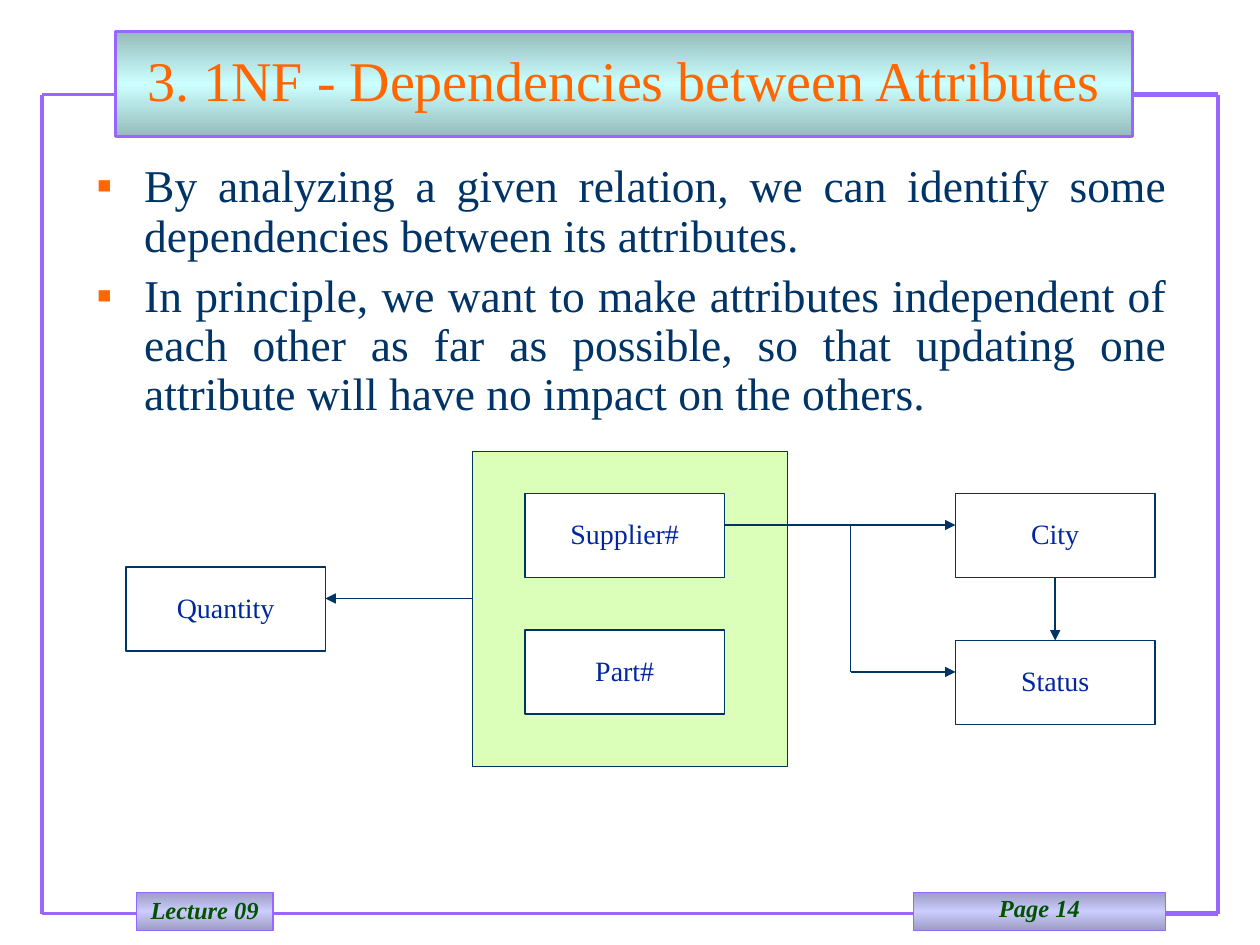
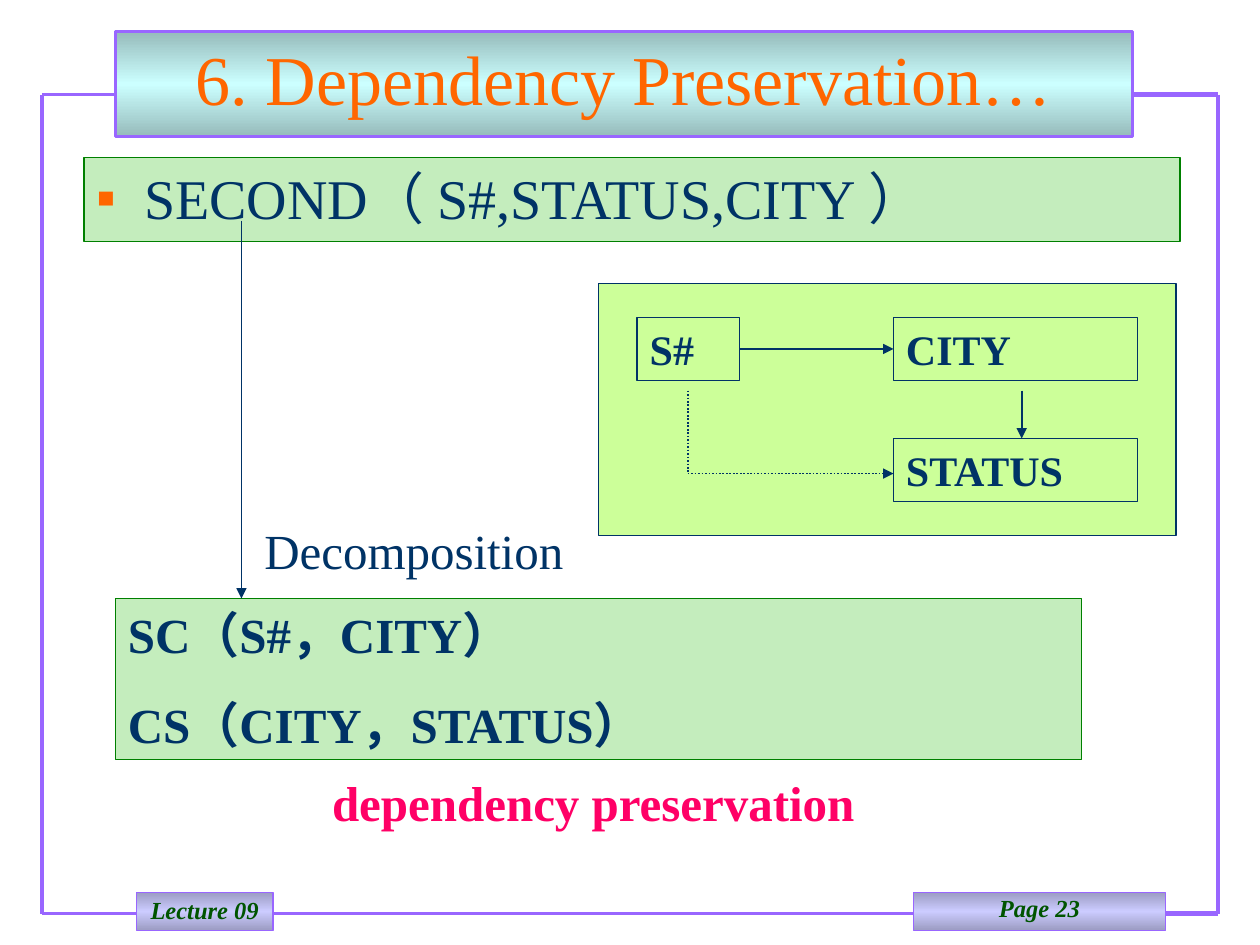
from copy import deepcopy

from lxml.etree import SubElement
from pptx import Presentation
from pptx.dml.color import RGBColor
from pptx.enum.dml import MSO_LINE
from pptx.enum.shapes import MSO_CONNECTOR, MSO_SHAPE
from pptx.enum.text import MSO_ANCHOR, MSO_AUTO_SIZE, PP_ALIGN
from pptx.oxml.ns import qn
from pptx.util import Inches, Pt

# All places and sizes are in grid units of one twelfth of an inch.
UNIT = Inches(1) / 12
SLIDE_SIZE = (120, 90)
FONT = "Times New Roman"

NAVY = RGBColor(0x00, 0x33, 0x66)
BLUE = RGBColor(0x00, 0x27, 0x9F)
ORANGE = RGBColor(0xFF, 0x66, 0x00)
PINK = RGBColor(0xFF, 0x00, 0x66)
PURPLE = RGBColor(0x99, 0x66, 0xFF)
DARK_GREEN = RGBColor(0x00, 0x54, 0x00)
GREEN = RGBColor(0x00, 0x80, 0x00)
MINT = RGBColor(0xC4, 0xED, 0xBD)
PALE_LIME = RGBColor(0xDB, 0xFF, 0xB8)
LIME = RGBColor(0xCC, 0xFF, 0x99)
WHITE = RGBColor(0xFF, 0xFF, 0xFF)
TITLE_BAND = (RGBColor(0x96, 0xBB, 0xBB), RGBColor(0xCC, 0xFF, 0xFF))
FOOTER_BAND = (RGBColor(0x9C, 0x9C, 0xC3), RGBColor(0xCC, 0xCC, 0xFF))

# Shared by both slides
TITLE_PLACE = (11, 3, 96.84, 10)
LECTURE = ("Lecture 09", (13, 85, 13, 3.6), 0.9)
PAGE_PLACE = (87, 85, 24, 3.6)
FRAME_LINES = [  # start, end, width in points
    ((11, 9), (4, 9), 2.25),
    ((4, 9), (4, 87), 2.25),
    ((4, 87), (13, 87), 2.25),
    ((26, 87), (87, 87), 2.25),
    ((108, 9), (116, 9), 3),
    ((116, 9), (116, 87), 2.25),
    ((111, 87), (116, 87), 3),
]

# Dependencies between attributes
ATTRIBUTES_TITLE = "3. 1NF - Dependencies between Attributes"
ATTRIBUTES_BULLETS = [
    "By analyzing a given relation, we can identify some dependencies between its attributes.",
    "In principle, we want to make attributes independent of each other as far as possible, "
    "so that updating one attribute will have no impact on the others.",
]
BULLETS_PLACE = (8, 15, 104.4, 28)
KEY_PLACE = (45, 43, 30, 30)
ATTRIBUTE_SIZE = (19, 8)
ATTRIBUTES = {
    "Supplier#": (50, 47),
    "Part#": (50, 60),
    "Status": (91, 61),
    "City": (91, 47),
    "Quantity": (12, 54),
}

# Dependency preservation
PRESERVATION_TITLE = "6. Dependency Preservation…"
RELATION = ["SECOND（ S#,STATUS,CITY ）"]
RELATION_PLACE = (8, 15, 104.4, 8)
DIAGRAM_PLACE = (57, 27, 55, 24)
COLUMNS = {
    "S#": (60.7, 30.24, 9.75, 6),
    "CITY": (85.1, 30.24, 23.25, 6),
    "STATUS": (85.1, 41.76, 23.25, 6),
}
PROJECTIONS = ["SC（S#，CITY）", "CS（CITY，STATUS）"]
PROJECTIONS_PLACE = (11, 57, 92, 15.36)
STEP_LABEL = ("Decomposition", (24, 49, 31, 6.84))
RESULT_LABEL = ("dependency preservation", (11, 73, 91, 6.84))

TOP, LEFT, BOTTOM, RIGHT = range(4)


def grid(*values):
    return [round(value * UNIT) for value in values]


def add_bullet(para):
    properties = para._p.get_or_add_pPr()
    properties.set("marL", str(Inches(0.38)))
    properties.set("indent", str(-Inches(0.38)))
    color = SubElement(properties, qn("a:buClr"))
    SubElement(color, qn("a:srgbClr"), val=str(ORANGE))
    SubElement(properties, qn("a:buFont"), typeface=FONT)
    SubElement(properties, qn("a:buChar"), char="▪")


def write(shape, lines, *, size, color=NAVY, bold=False, italic=False, align=PP_ALIGN.LEFT,
          anchor=MSO_ANCHOR.TOP, spacing=1.0, gap=0, bullet=False):
    """Fill the shape with one paragraph per line; gap is the space between them."""
    frame = shape.text_frame
    frame.word_wrap = True
    frame.auto_size = MSO_AUTO_SIZE.NONE
    frame.vertical_anchor = anchor
    for index, line in enumerate(lines):
        para = frame.add_paragraph() if index else frame.paragraphs[0]
        para.alignment = align
        para.line_spacing = spacing
        para.space_before = Pt(gap if index else 0)
        if bullet:
            add_bullet(para)
        span = para.add_run()
        span.text = line
        font = span.font
        font.name, font.size = FONT, Pt(size)
        font.bold, font.italic = bold, italic
        font.color.rgb = color


def paint(shape, fill=None, line=NAVY, width=1.0):
    """Fill with nothing, one colour, or an (edge, middle) pair blended downwards."""
    if fill is None:
        shape.fill.background()
    elif isinstance(fill, RGBColor):
        shape.fill.solid()
        shape.fill.fore_color.rgb = fill
    else:
        edge, middle = fill
        shape.fill.gradient()
        shape.fill.gradient_angle = 90
        stops = shape.element.spPr.find(qn("a:gradFill")).find(qn("a:gsLst"))
        stops.insert(1, deepcopy(stops[0]))
        for stop, color, position in zip(shape.fill.gradient_stops, (edge, middle, edge), (0, 0.5, 1)):
            stop.color.rgb = color
            stop.position = position
    shape.line.color.rgb = line
    shape.line.width = Pt(width)


def add_box(page, place, fill=None, **outline):
    box = page.shapes.add_shape(MSO_SHAPE.RECTANGLE, *grid(*place))
    box.shadow.inherit = False
    paint(box, fill, **outline)
    return box


def add_label(page, text, place, **style):
    write(page.shapes.add_textbox(*grid(*place)), [text], size=28, **style)


def add_line(page, start, end, color=NAVY, width=1.0, arrow=False, dotted=False):
    """Draw a line between two ends, each a grid point or a (box, side) pair."""
    joined = [hasattr(place[0], "shape_type") for place in (start, end)]
    points = [(0, 0) if join else place for join, place in zip(joined, (start, end))]
    line = page.shapes.add_connector(MSO_CONNECTOR.STRAIGHT, *grid(*points[0], *points[1]))
    if joined[0]:
        line.begin_connect(*start)
    if joined[1]:
        line.end_connect(*end)
    line.line.color.rgb = color
    line.line.width = Pt(width)
    if dotted:
        line.line.dash_style = MSO_LINE.ROUND_DOT
    if arrow:
        SubElement(line.line._get_or_add_ln(), qn("a:tailEnd"), type="triangle")
    SubElement(line.element.spPr, qn("a:effectLst"))


def add_page(deck, title, title_size, number):
    """Add a slide with the shared frame, title band and footers."""
    page = deck.slides.add_slide(deck.slide_layouts[5])
    for start, end, width in FRAME_LINES:
        add_line(page, start, end, PURPLE, width)
    footers = [LECTURE, (f"Page {number}", PAGE_PLACE, 0.8)]
    for text, place, spacing in footers:
        footer = add_box(page, place, FOOTER_BAND, line=PURPLE, width=0.75)
        write(footer, [text], size=14, color=DARK_GREEN, bold=True, italic=True,
              align=PP_ALIGN.CENTER, spacing=spacing)
    heading = page.shapes.title
    heading.left, heading.top, heading.width, heading.height = grid(*TITLE_PLACE)
    paint(heading, TITLE_BAND, PURPLE, 1.5)
    write(heading, [title], size=title_size, color=ORANGE, align=PP_ALIGN.CENTER,
          anchor=MSO_ANCHOR.MIDDLE, spacing=0.85)
    return page


def add_attributes_page(deck):
    page = add_page(deck, ATTRIBUTES_TITLE, 32, 14)
    body = page.shapes.add_textbox(*grid(*BULLETS_PLACE))
    write(body, ATTRIBUTES_BULLETS, size=26, align=PP_ALIGN.JUSTIFY, spacing=0.9,
          gap=6.5, bullet=True)

    add_box(page, KEY_PLACE, PALE_LIME)
    boxes = {}
    for name, corner in ATTRIBUTES.items():
        boxes[name] = add_box(page, corner + ATTRIBUTE_SIZE, WHITE)
        write(boxes[name], [name], size=16, color=BLUE, align=PP_ALIGN.CENTER,
              anchor=MSO_ANCHOR.MIDDLE, spacing=0.9)

    add_line(page, (45, 57), (31, 57), arrow=True)
    add_line(page, (69, 50), (91, 50), arrow=True)
    add_line(page, (boxes["City"], BOTTOM), (boxes["Status"], TOP), arrow=True)
    add_line(page, (81, 50), (81, 64))
    add_line(page, (81, 64), (91, 64), arrow=True)


def add_preservation_page(deck):
    page = add_page(deck, PRESERVATION_TITLE, 40, 23)
    relation = add_box(page, RELATION_PLACE, MINT, line=GREEN, width=0.75)
    write(relation, RELATION, size=32, align=PP_ALIGN.JUSTIFY, bullet=True)

    add_box(page, DIAGRAM_PLACE, LIME)
    boxes = {}
    for name, place in COLUMNS.items():
        boxes[name] = add_box(page, place)
        write(boxes[name], [name], size=24, bold=True)
    add_line(page, (boxes["S#"], RIGHT), (boxes["CITY"], LEFT), arrow=True)
    add_line(page, (97.3, 37.2), (97.3, 41.76), arrow=True)
    add_line(page, (65.5, 37.2), (65.5, 45.1), dotted=True)
    add_line(page, (65.5, 45.1), (85.1, 45.1), arrow=True, dotted=True)

    projections = add_box(page, PROJECTIONS_PLACE, MINT, line=GREEN, width=0.75)
    write(projections, PROJECTIONS, size=28, bold=True, gap=17.5)
    add_line(page, (23, 21), (23, 57), width=0.75, arrow=True)
    add_label(page, *STEP_LABEL)
    add_label(page, *RESULT_LABEL, color=PINK, bold=True, align=PP_ALIGN.CENTER)


def main():
    deck = Presentation()
    deck.slide_width, deck.slide_height = grid(*SLIDE_SIZE)
    add_attributes_page(deck)
    add_preservation_page(deck)
    deck.save("out.pptx")


if __name__ == "__main__":
    main()
